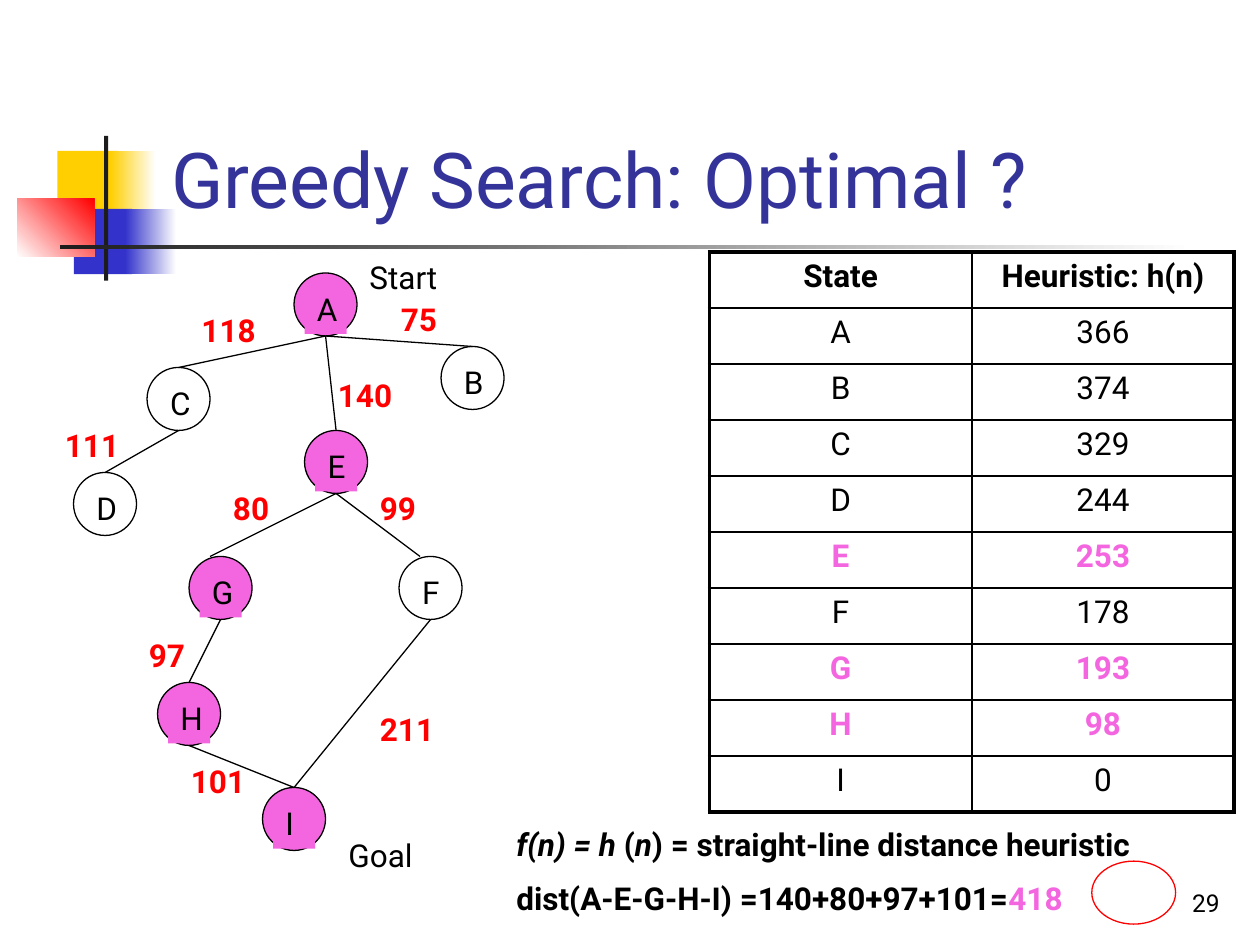
from lxml.etree import SubElement as add_element
from pptx import Presentation
from pptx.dml.color import RGBColor
from pptx.enum.shapes import MSO_CONNECTOR as Connector, MSO_SHAPE as Shape
from pptx.enum.text import MSO_ANCHOR as Anchor, PP_ALIGN as Align
from pptx.oxml.ns import qn
from pptx.util import Cm, Pt

FONT = "Roboto"
BLACK, WHITE, RED, PINK = "000000", "FFFFFF", "FF0000", "F466E0"
YELLOW, BLUE, TITLE_BLUE, DARK = "FFCF01", "3333CC", "333399", "1C1C1C"
UNIT = 2.54 / 12  # the tree sits on a grid of twelfths of an inch
DIAMETER = 6      # of a node, in grid units
LINE_HEIGHT = 1.02

# Node: column, row in grid units
NODES = {"A": (23, 2), "B": (37, 9), "D": (2, 21), "C": (9, 11), "E": (24, 17),
         "F": (33, 29), "I": (20, 51), "G": (13, 29), "H": (10, 41)}
ROUTE = "AEGHI"
# Parent, child, sideways shift of the end, cost, label column and row
EDGES = [("A", "B", 0, "75", 32, 4), ("A", "C", 0, "118", 13, 5),
         ("A", "E", 0, "140", 26, 11.2), ("C", "D", 0, "111", 0, 16),
         ("E", "F", -1, "99", 30, 22), ("E", "G", -1, "80", 16, 22),
         ("G", "H", 0, "97", 8, 36), ("H", "I", 0, "101", 12, 48),
         ("F", "I", 0, "211", 30, 43)]
HEURISTIC = {"A": 366, "B": 374, "C": 329, "D": 244, "E": 253,
             "F": 178, "G": 193, "H": 98, "I": 0}


def color(value):
    return RGBColor.from_string(value)


def add_span(para, text, size=18, ink=BLACK, bold=False, italic=False):
    span = para.add_run()
    span.text = text
    font = span.font
    font.name, font.size, font.bold, font.italic = FONT, Pt(size), bold, italic
    font.color.rgb = color(ink)


def add_text(shapes, box, text, anchor=Anchor.TOP, align=Align.LEFT, **style):
    frame = shapes.add_textbox(*map(Cm, box)).text_frame
    frame.word_wrap = True
    frame.vertical_anchor = anchor
    para = frame.paragraphs[0]
    para.alignment = align
    if text:
        add_span(para, text, **style)
    return frame


def add_block(shapes, kind, box, fill=None, line=None):
    block = shapes.add_shape(kind, *map(Cm, box))
    block.shadow.inherit = False
    if fill:
        block.fill.solid()
        block.fill.fore_color.rgb = color(fill)
    else:
        block.fill.background()
    if line:
        block.line.color.rgb = color(line)
        block.line.width = Pt(0.75)
    else:
        block.line.fill.background()
    return block


def add_fade(shapes, box, start, end, angle=0):
    fill = add_block(shapes, Shape.RECTANGLE, box).fill
    fill.gradient()
    fill.gradient_angle = angle
    for stop, value, position in zip(fill.gradient_stops, (start, end), (0, 1)):
        stop.color.rgb = color(value)
        stop.position = position


def add_emblem(page, box):
    """Coloured squares with the crossing bars."""
    left, top = box
    shapes = page.shapes

    def place(x, y, width, height):
        return left + x, top + y, width, height

    add_block(shapes, Shape.RECTANGLE, place(0.81, 0.3, 1.22, 1.32), YELLOW)
    add_fade(shapes, place(1.88, 0.3, 0.91, 1.32), YELLOW, WHITE)
    add_block(shapes, Shape.RECTANGLE, place(1.14, 1.47, 1.17, 1.32), BLUE)
    add_fade(shapes, place(2.18, 1.47, 1.02, 1.32), BLUE, WHITE)
    add_fade(shapes, place(0, 1.27, 1.55, 1.17), WHITE, RED, 45)
    add_block(shapes, Shape.RECTANGLE, place(1.75, 0, 0.08, 2.92), DARK)
    add_fade(shapes, place(0.86, 2.2, 22.86, 0.08), DARK, WHITE)


def add_node(shapes, left, top, name):
    fill = PINK if name in ROUTE else None
    group = shapes.add_group_shape().shapes
    size = DIAMETER * UNIT
    add_block(group, Shape.OVAL, (left, top, size, size), fill, BLACK)
    frame = add_text(group, (left + UNIT, top + UNIT, 4 * UNIT, LINE_HEIGHT), name)
    if fill:
        label = group[-1]
        label.fill.solid()
        label.fill.fore_color.rgb = color(fill)
    return frame


def add_edge(shapes, start, end):
    edge = shapes.add_connector(Connector.STRAIGHT, *map(Cm, start + end))
    edge.line.color.rgb = color(BLACK)
    edge.line.width = Pt(0.75)
    add_element(edge.element.spPr, qn("a:effectLst"))


def add_tree(page, box):
    """Search tree with step costs."""
    left, top = box
    shapes = page.shapes

    def spot(column, row):
        return left + column * UNIT, top + row * UNIT

    for name, place in NODES.items():
        add_node(shapes, *spot(*place), name)
    for parent, child, shift, cost, column, row in EDGES:
        (x1, y1), (x2, y2) = NODES[parent], NODES[child]
        add_edge(shapes, spot(x1 + DIAMETER / 2, y1 + DIAMETER),
                 spot(x2 + DIAMETER / 2 + shift, y2))
        add_text(shapes, (*spot(column, row), 2.1, LINE_HEIGHT), cost,
                 ink=RED, bold=True)
    for text, column, row in (("Start", 29, 0), ("Goal", 27, 55)):
        add_text(shapes, (*spot(column, row), 3.39, LINE_HEIGHT), text)


def add_borders(cell, widths):
    properties = cell._tc.get_or_add_tcPr()
    for side, width in zip(("lnL", "lnR", "lnT", "lnB"), widths):
        line = add_element(properties, qn("a:" + side), w=str(Pt(width)))
        fill = add_element(line, qn("a:solidFill"))
        add_element(fill, qn("a:srgbClr"), val=BLACK)


def add_heuristic_table(page, box):
    """States and their estimates; the route is highlighted."""
    rows = [("State", "Heuristic: h(n)"), *HEURISTIC.items()]
    last = len(rows) - 1
    table = page.shapes.add_table(len(rows), 2, *map(Cm, box)).table
    table.first_row = table.horz_banding = False
    for column in table.columns:
        column.width = Cm(box[2] / 2)
    for r, values in enumerate(rows):
        table.rows[r].height = Cm(box[3] / len(rows))
        on_route = values[0] in ROUTE[1:-1]
        for c, value in enumerate(values):
            cell = table.cell(r, c)
            outer = (c == 0, c == 1, r == 0, r == last)
            add_borders(cell, [2.25 if edge else 1 for edge in outer])
            cell.fill.background()
            para = cell.text_frame.paragraphs[0]
            para.alignment = Align.CENTER
            add_span(para, str(value), ink=PINK if on_route else BLACK,
                     bold=on_route or r == 0)


def add_result(page, box):
    """Evaluation function and the length of the route found."""
    left, top, width, height = box
    frame = add_text(page.shapes, box, "")
    para = frame.paragraphs[0]
    for text, italic in (("f(n) = h ", True), ("(", False), ("n", True),
                         (") = straight-line distance heuristic", False)):
        add_span(para, text, bold=True, italic=italic)
    para = frame.add_paragraph()
    para.space_before = Pt(9)
    add_span(para, "dist(A-E-G-H-I) =140+80+97+101=", bold=True)
    add_span(para, "418", ink=PINK, bold=True)
    add_block(page.shapes, Shape.OVAL, (left + 11.85, top + 0.85, 1.69, 1.27), line=RED)


def main():
    deck = Presentation()
    deck.slide_width, deck.slide_height = Cm(25.4), Cm(19.05)
    page = deck.slides.add_slide(deck.slide_layouts[6])
    add_emblem(page, (0.35, 2.74))
    add_text(page.shapes, (19.56, 17.35, 5.28, 1.27), "29", Anchor.BOTTOM,
             Align.RIGHT, size=14)
    add_text(page.shapes, (3.2, 0.58, 21.64, 4.06), "Greedy Search: Optimal ?",
             Anchor.BOTTOM, size=44, ink=TITLE_BLUE)
    add_tree(page, (1.06, 5.08))
    add_result(page, (10.16, 16.51, 15.24, 2.16))
    add_heuristic_table(page, (14.3, 5.08, 10.58, 11.29))
    deck.save("out.pptx")


if __name__ == "__main__":
    main()
